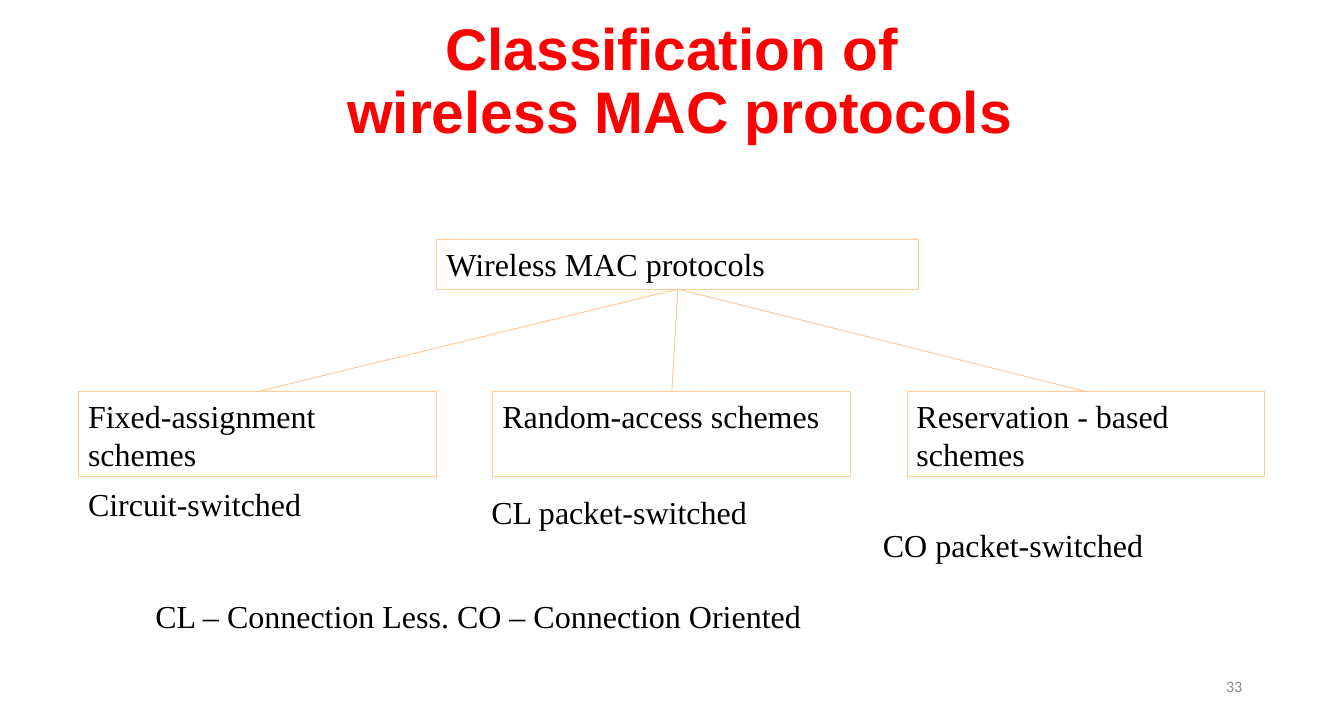
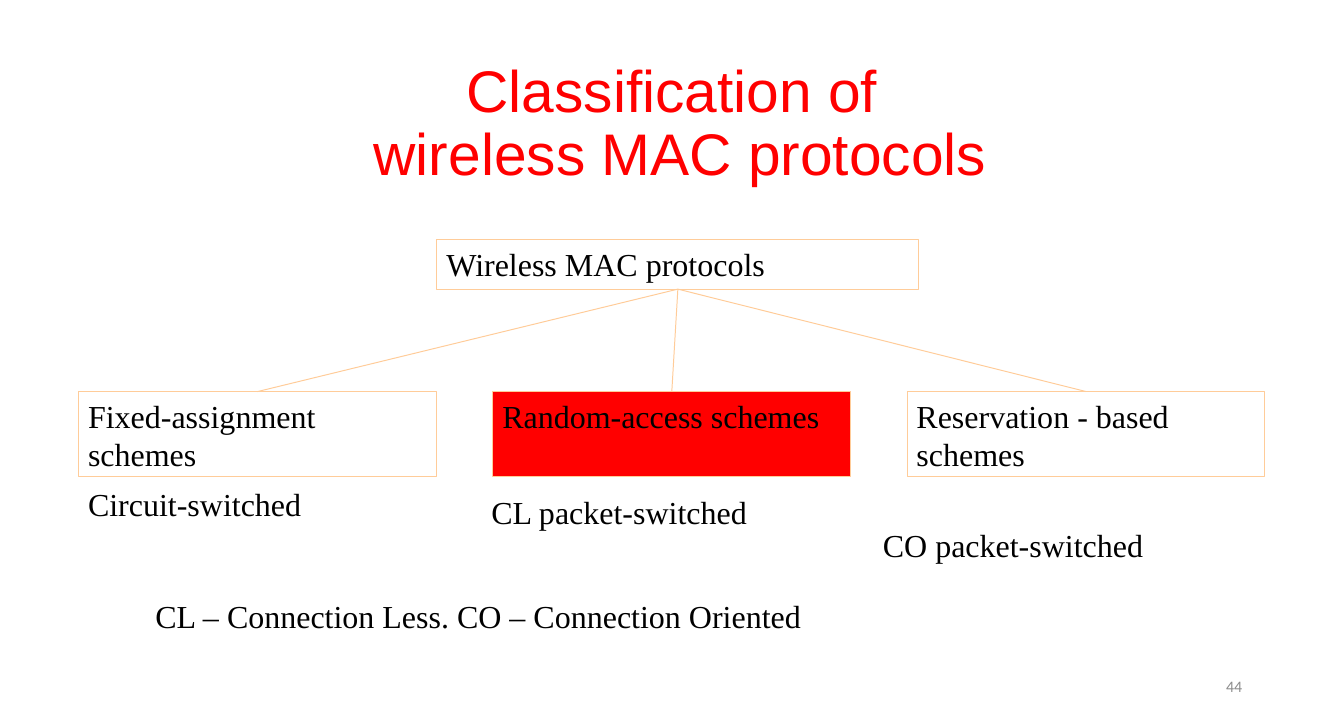
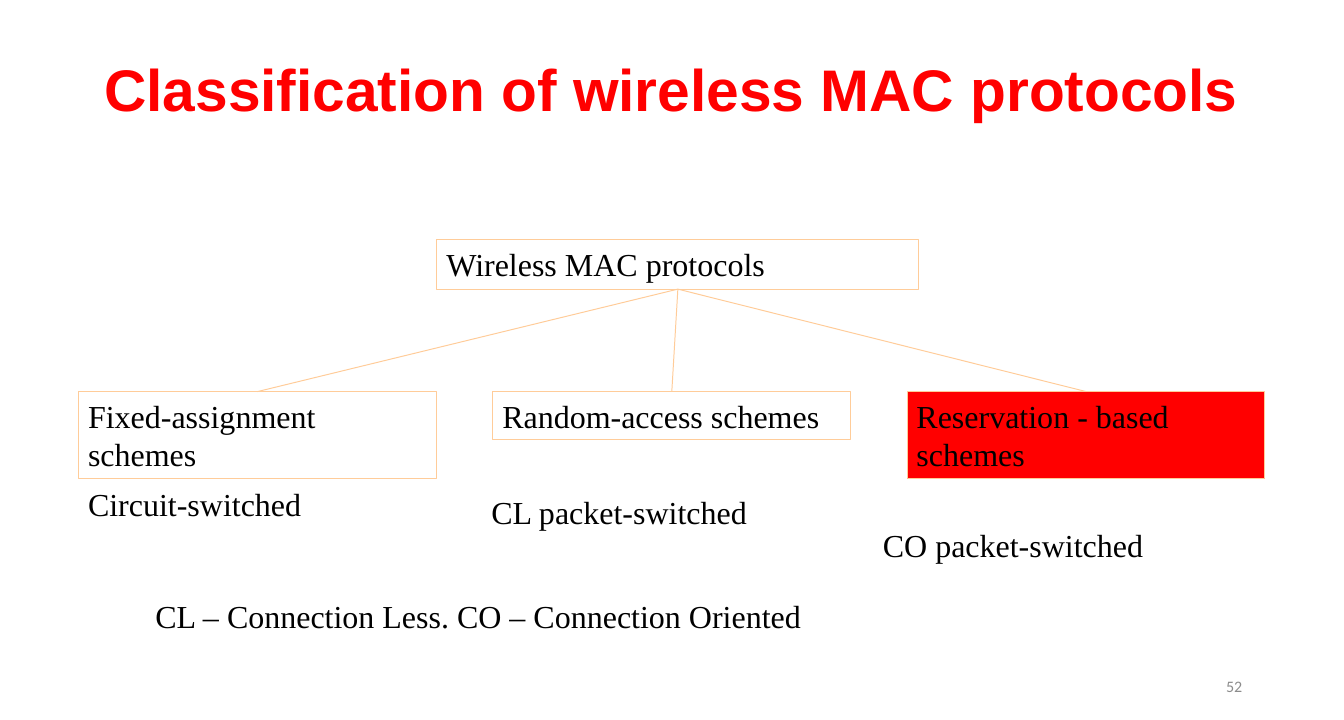
from dataclasses import dataclass

from pptx import Presentation
from pptx.dml.color import RGBColor
from pptx.enum.shapes import MSO_CONNECTOR, MSO_SHAPE
from pptx.enum.text import MSO_ANCHOR, MSO_AUTO_SIZE, PP_ALIGN
from pptx.oxml.ns import qn
from pptx.util import Cm, Pt

RECT = MSO_SHAPE.RECTANGLE
LINE = MSO_CONNECTOR.STRAIGHT
TOP, MIDDLE = MSO_ANCHOR.TOP, MSO_ANCHOR.MIDDLE
LEFT, MID, RIGHT = PP_ALIGN.LEFT, PP_ALIGN.CENTER, PP_ALIGN.RIGHT
FIXED = MSO_AUTO_SIZE.NONE

RED, PEACH, BLACK, GREY, WHITE = "FF0000", "FFCC99", "000000", "8C8C8C", "FFFFFF"
WIDE, HIGH = 35.56, 19.05
STROKE = 0.75
BASE, FOOT = 2, 0


@dataclass(frozen=True)
class Style:
    font: dict
    para: dict
    frame: dict
    hue: str


@dataclass(frozen=True)
class Area:
    left: float
    top: float
    width: float
    height: float

    def lengths(self) -> list:
        return [Cm(v) for v in (self.left, self.top, self.width, self.height)]


@dataclass(frozen=True)
class Label:
    area: Area
    lines: tuple
    style: Style


@dataclass(frozen=True)
class Page:
    number: str
    area: Area
    title: tuple
    bold: bool
    heights: tuple
    fills: tuple


def head(bold: bool) -> Style:
    return Style({"name": "Arial", "size": Pt(44), "bold": bold},
                 {"alignment": MID, "line_spacing": 0.9},
                 {"vertical_anchor": MIDDLE}, RED)


BODY = Style({"name": "Times New Roman", "size": Pt(24)},
             {"alignment": LEFT}, {"vertical_anchor": TOP}, BLACK)
COUNT = Style({"name": "Calibri", "size": Pt(12)},
              {"alignment": RIGHT}, {"vertical_anchor": MIDDLE}, GREY)

ROOT = Label(Area(11.56, 6.35, 12.75, 1.3), ("Wireless MAC protocols",), BODY)
SCHEMES = ("Fixed-assignment schemes", "Random-access schemes",
           "Reservation - based schemes")
FIRST, STEP, ROW, SPAN = 2.08, 10.96, 10.36, 9.47
NOTES = [
    Label(Area(left, top, width, 1.25), (text,), BODY)
    for left, top, width, text in (
        (2.08, 12.7, 6.65, "Circuit-switched"),
        (12.75, 12.9, 7.95, "CL packet-switched"),
        (23.11, 13.77, 8.1, "CO packet-switched"),
        (3.86, 15.67, 19.2, "CL – Connection Less. CO – Connection Oriented"),
    )
]
FOLIO = Area(25.12, 17.65, 8, 1.02)
SPLIT = ("Classification of", " wireless MAC protocols")
PAGES = (
    Page("33", Area(0, 0.25, WIDE, 3.91), SPLIT, True,
         (2.24, 2.24, 2.24), ("", "", "")),
    Page("44", Area(2.67, 1.35, 30.23, 3.91), SPLIT, False,
         (2.24, 2.24, 2.24), ("", RED, "")),
    Page("52", Area(0, 0.43, WIDE, 4.01),
         ("Classification of wireless MAC protocols",), True,
         (2.31, 1.27, 2.31), (WHITE, "", RED)),
)


def paint(code: str) -> RGBColor:
    return RGBColor.from_string(code)


def apply(target: object, values: dict) -> None:
    for name, value in values.items():
        setattr(target, name, value)


def write(shape, label: Label) -> None:
    frame = shape.text_frame
    apply(frame, {"word_wrap": True, "auto_size": FIXED, **label.style.frame})
    para = frame.paragraphs[0]
    apply(para, label.style.para)
    for rank, line in enumerate(label.lines):
        if rank:
            para.add_line_break()
        run = para.add_run()
        run.text = line
        apply(run.font, label.style.font)
        run.font.color.rgb = paint(label.style.hue)


def stroke(shape) -> None:
    shape.line.color.rgb = paint(PEACH)
    shape.line.width = Pt(STROKE)


def add_text(slide, label: Label) -> None:
    write(slide.shapes.add_textbox(*label.area.lengths()), label)


def add_box(slide, label: Label, fill: str = ""):
    box = slide.shapes.add_shape(RECT, *label.area.lengths())
    box.shadow.inherit = False
    if fill:
        box.fill.solid()
        box.fill.fore_color.rgb = paint(fill)
    else:
        box.fill.background()
    stroke(box)
    write(box, label)
    return box


def add_branch(slide, start, end) -> None:
    branch = slide.shapes.add_connector(LINE, 0, 0, 0, 0)
    branch.begin_connect(start, BASE)
    branch.end_connect(end, FOOT)
    stroke(branch)
    props = branch._element.spPr
    props.append(props.makeelement(qn("a:effectLst"), {}))


def add_page(deck, page: Page) -> None:
    slide = deck.slides.add_slide(deck.slide_layouts[6])
    add_text(slide, Label(page.area, page.title, head(page.bold)))
    add_text(slide, Label(FOLIO, (page.number,), COUNT))
    root = add_box(slide, ROOT)
    leaves = []
    for rank, (text, height, fill) in enumerate(
            zip(SCHEMES, page.heights, page.fills)):
        area = Area(FIRST + rank * STEP, ROW, SPAN, height)
        leaves.append(add_box(slide, Label(area, (text,), BODY), fill))
    for leaf in leaves:
        add_branch(slide, root, leaf)
    for note in NOTES:
        add_text(slide, note)


def main() -> None:
    deck = Presentation()
    apply(deck, {"slide_width": Cm(WIDE), "slide_height": Cm(HIGH)})
    for page in PAGES:
        add_page(deck, page)
    deck.save("out.pptx")


if __name__ == "__main__":
    main()
